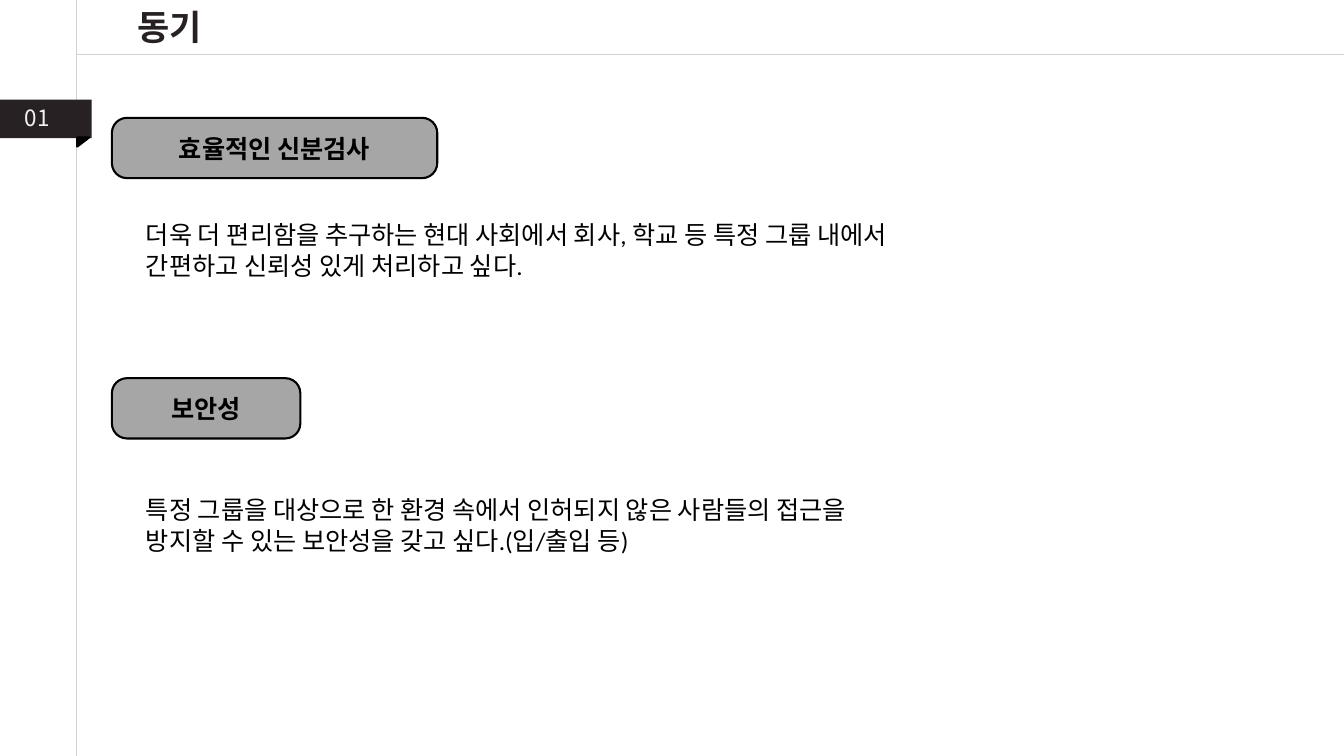
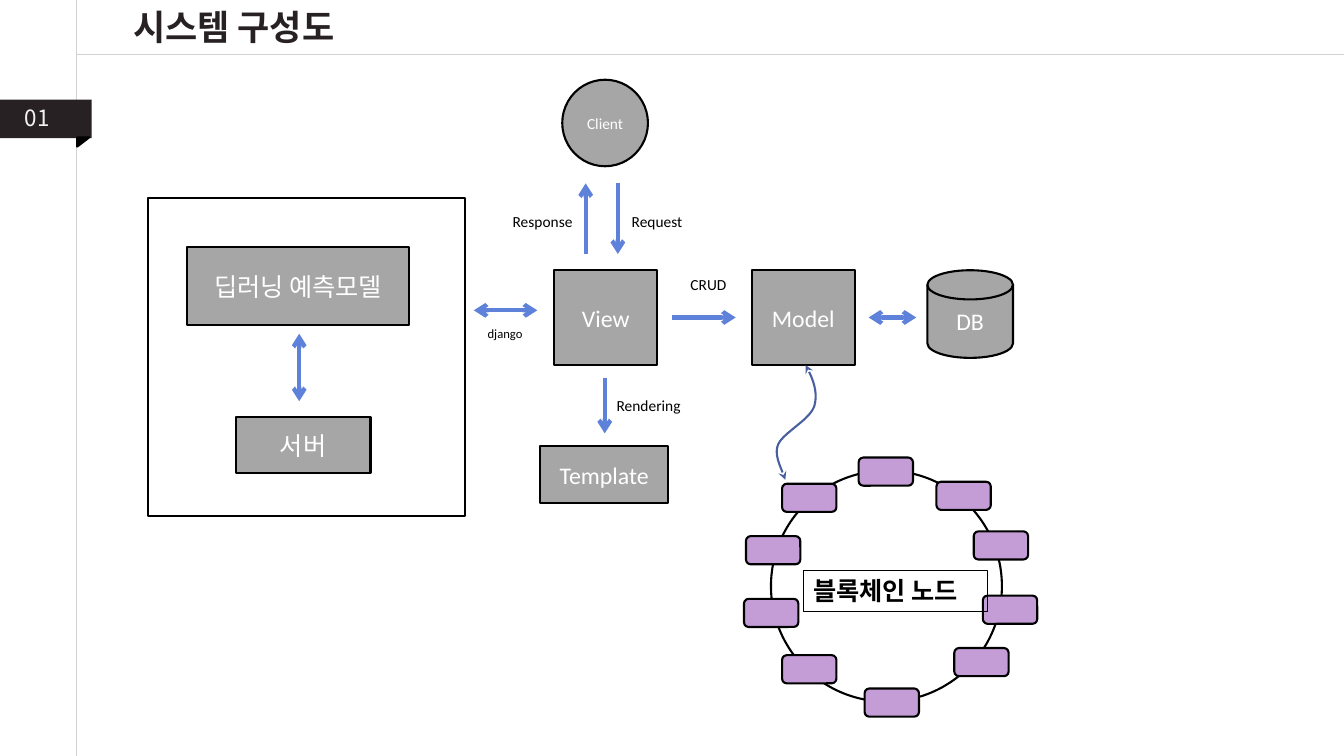
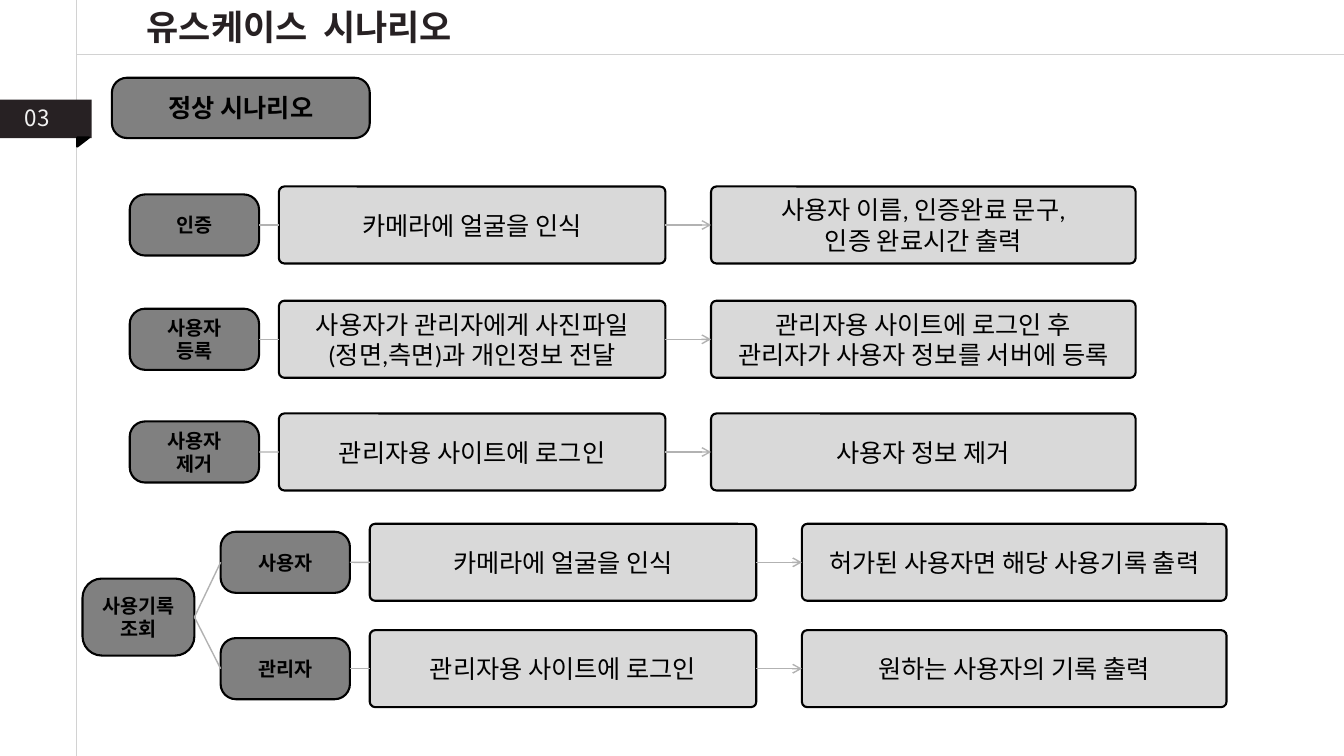
from lxml import etree
from pptx import Presentation
from pptx.dml.color import RGBColor
from pptx.enum.shapes import MSO_CONNECTOR, MSO_SHAPE
from pptx.enum.text import MSO_ANCHOR, MSO_AUTO_SIZE, PP_ALIGN
from pptx.oxml.ns import qn
from pptx.util import Cm, Pt

RECT, ROUNDED = MSO_SHAPE.RECTANGLE, MSO_SHAPE.ROUNDED_RECTANGLE
OVAL, CYLINDER = MSO_SHAPE.OVAL, MSO_SHAPE.CAN
TRIANGLE, DISK = MSO_SHAPE.RIGHT_TRIANGLE, MSO_SHAPE.FLOWCHART_MAGNETIC_DISK
STRAIGHT = MSO_CONNECTOR.STRAIGHT
LEFT, CENTER = PP_ALIGN.LEFT, PP_ALIGN.CENTER
TOP, NO_FIT = MSO_ANCHOR.TOP, MSO_AUTO_SIZE.NONE
TITLE_FONT, BODY_FONT = "Noto Sans CJK KR", "Calibri"
TOP_SIDE, LEFT_SIDE, BOTTOM_SIDE, RIGHT_SIDE = range(4)
COLORS = {name: RGBColor.from_string(value) for name, value in {
    "black": "000000", "white": "FFFFFF", "ink": "272123", "number": "F2F2F2",
    "rule": "D2D2D2", "gray": "A6A6A6", "dark": "808080", "pale": "D9D9D9",
    "link": "B2B2B2", "arrow": "5E81D9", "curve": "48609E", "node": "C49DD6",
}.items()}


def add_box(shapes, kind, place, fill=None, text="", size=18, color="black",
            bold=False, outline="black", font=BODY_FONT, corner=None):
    """Add a preset shape, or a left-aligned text box when kind is None; place is in cm."""
    place = [Cm(length) for length in place]
    if kind is None:
        box = shapes.add_textbox(*place)
    else:
        box = shapes.add_shape(kind, *place)
        box.shadow.inherit = False
        if fill:
            box.fill.solid()
            box.fill.fore_color.rgb = COLORS[fill]
        else:
            box.fill.background()
        if outline:
            box.line.color.rgb = COLORS[outline]
            box.line.width = Pt(1.5)
        else:
            box.line.fill.background()
    if corner is not None:
        box.adjustments[0] = corner
    if text:
        frame = box.text_frame
        frame.word_wrap = True
        frame.text = text
        for para in frame.paragraphs:
            para.alignment = LEFT if kind is None else CENTER
            para.font.name, para.font.size, para.font.bold = font, Pt(size), bold
            para.font.color.rgb = COLORS[color]
    return box


def add_line(shapes, start, end, color, width, ends=()):
    """Join two points in cm, or two (shape, side) pairs; ends names the arrowheads."""
    joined = not isinstance(start[0], (int, float))
    points = (0, 0, 0, 0) if joined else (*start, *end)
    line = shapes.add_connector(STRAIGHT, *[Cm(point) for point in points])
    if joined:
        line.begin_connect(*start)
        line.end_connect(*end)
    line.line.color.rgb = COLORS[color]
    line.line.width = Pt(width)
    for name in ends:
        etree.SubElement(line.line._get_or_add_ln(), qn(f"a:{name}"), type="arrow")
    etree.SubElement(line._element.spPr, qn("a:effectLst"))
    return line


deck = Presentation()
deck.slide_width, deck.slide_height = Cm(33.87), Cm(19.05)

# Shared frame: rules, number ribbon and title
pages = []
for number, title, title_width in [
    ("01", "동기", 4.8),
    ("01", "시스템 구성도", 8.03),
    ("03", "유스케이스  시나리오", 11.33),
]:
    page = deck.slides.add_slide(deck.slide_layouts[5])
    shapes = page.shapes
    add_line(shapes, (1.93, 0), (1.93, 19.05), "rule", 1)
    add_line(shapes, (33.87, 1.37), (1.93, 1.37), "rule", 1)
    add_box(shapes, RECT, (0, 2.51, 2.31, 0.97), "ink", outline=None)
    fold = add_box(shapes, TRIANGLE, (1.98, 3.43, 0.23, 0.3), "black")
    fold.rotation = 90
    add_box(shapes, None, (0.38, 2.51, 1.5, 0.94), text=number, size=16,
            color="number", font=TITLE_FONT)

    heading = shapes.title
    heading.left, heading.top = Cm(1.88), Cm(0)
    heading.width, heading.height = Cm(title_width), Cm(1.3)
    frame = heading.text_frame
    frame.text = title
    frame.auto_size, frame.vertical_anchor = NO_FIT, TOP
    para = frame.paragraphs[0]
    para.alignment = CENTER
    para.font.name, para.font.size, para.font.bold = TITLE_FONT, Pt(25), True
    para.font.color.rgb = COLORS["ink"]
    pages.append(page)
motive, system, scenario = [page.shapes for page in pages]

# Motive
for top, width, heading, body_top, body in [
    (2.97, 8.2, "효율적인 신분검사", 5.41,
     "더욱 더 편리함을 추구하는 현대 사회에서 회사, 학교 등 특정 그룹 내에서 "
     "간편하고 신뢰성 있게 처리하고 싶다."),
    (9.53, 4.75, "보안성", 12.34,
     "특정 그룹을 대상으로 한 환경 속에서 인허되지 않은 사람들의 접근을 "
     "방지할 수 있는 보안성을 갖고 싶다.(입/출입 등)"),
]:
    add_box(motive, ROUNDED, (2.82, top, width, 1.52), "gray", heading,
            bold=True, corner=0.25)
    add_box(motive, None, (3.43, body_top, 19.99, 1.75), text=body)

# System diagram
add_box(system, RECT, (3.73, 5, 8, 8))
for kind, place, text, size in [
    (RECT, (5.94, 10.52, 3.4, 1.4), "서버", 18),
    (RECT, (4.72, 6.22, 5.59, 1.98), "딥러닝 예측모델", 18),
    (RECT, (13.97, 6.81, 2.59, 2.39), "View", 17),
    (RECT, (18.95, 6.81, 2.59, 2.39), "Model", 17),
    (RECT, (13.61, 11.25, 3.23, 1.42), "Template", 17),
    (OVAL, (14.17, 2.01, 2.16, 2.18), "Client", 11),
    (DISK, (23.37, 6.81, 2.16, 2.21), "DB", 17),
]:
    add_box(system, kind, place, "gray", text, size, "white")

for left, top, width, text, size in [
    (15.67, 5.21, 2.29, "Request", 11),
    (12.67, 5.21, 2.49, "Response", 11),
    (17.15, 6.81, 1.8, "CRUD", 11),
    (15.29, 9.86, 2.77, "Rendering", 11),
    (12.04, 8.1, 1.6, "django", 9),
]:
    add_box(system, None, (left, top, width, 0.7), text=text, size=size)

ONE_WAY, BOTH_WAYS = ("tailEnd",), ("headEnd", "tailEnd")
for start, end, ends in [
    ((7.54, 8.41), (7.54, 10.11), BOTH_WAYS),
    ((21.89, 8), (23.09, 8), BOTH_WAYS),
    ((11.94, 7.82), (13.54, 7.82), BOTH_WAYS),
    ((15.57, 4.62), (15.57, 6.4), ONE_WAY),
    ((14.76, 6.4), (14.76, 4.62), ONE_WAY),
    ((15.24, 9.53), (15.24, 10.92), ONE_WAY),
    ((16.94, 8), (18.54, 8), ONE_WAY),
]:
    add_line(system, start, end, "arrow", 3, ends)

blockchain = system.add_group_shape().shapes
add_box(blockchain, OVAL, (19.43, 11.86, 5.82, 5.82), "white")
for left, top in [
    (21.64, 11.53), (19.71, 12.19), (18.8, 13.51), (18.75, 15.09), (19.71, 16.51),
    (24.05, 16.33), (23.6, 12.14), (24.54, 13.39), (24.77, 15.01), (21.79, 17.35),
]:
    add_box(blockchain, ROUNDED, (left, top, 1.37, 0.71), "node")
caption = add_box(blockchain, None, (20.24, 14.38, 4.65, 1.02), text="블록체인 노드",
                  bold=True)
caption.line.color.rgb = COLORS["black"]
caption.line.width = Pt(0.75)

# Curved link from Model to the blockchain, sampled from three Bezier arcs
curve_start = (20.3, 9.2)
STEPS = 10
curve_points = [curve_start]
for control_1, control_2, arc_end in [
    ((20.5, 9.55), (20.62, 9.9), (20.52, 10.24)),
    ((20.4, 10.59), (19.74, 10.9), (19.61, 11.2)),
    ((19.48, 11.48), (19.74, 11.89), (19.79, 12.09)),
]:
    arc = (curve_points[-1], control_1, control_2, arc_end)
    for step in range(1, STEPS + 1):
        t = step / STEPS
        weights = ((1 - t) ** 3, 3 * t * (1 - t) ** 2, 3 * t * t * (1 - t), t ** 3)
        curve_points.append(tuple(
            sum(weight * point[axis] for weight, point in zip(weights, arc))
            for axis in (0, 1)))
builder = system.build_freeform(Cm(curve_start[0]), Cm(curve_start[1]))
builder.add_line_segments([(Cm(x), Cm(y)) for x, y in curve_points[1:]], close=False)
curve = builder.convert_to_shape()
curve.shadow.inherit = False
curve.fill.background()
curve.line.color.rgb = COLORS["curve"]
curve.line.width = Pt(1.5)
for name in BOTH_WAYS:
    etree.SubElement(curve.line._get_or_add_ln(), qn(f"a:{name}"), type="stealth")

# Use-case scenarios
add_box(scenario, ROUNDED, (2.82, 1.96, 6.5, 1.52), "dark", "정상 시나리오",
        bold=True, corner=0.25)
history = add_box(scenario, ROUNDED, (2.08, 14.58, 2.82, 1.94), "dark", "사용기록 조회",
                  14, bold=True, corner=0.25)
INDENT = 2.29
for indent, top, actor, action, result in [
    (0, 4.7, "인증", "카메라에 얼굴을 인식", "사용자 이름, 인증완료 문구,\n인증 완료시간 출력"),
    (0, 7.58, "사용자\n등록", "사용자가 관리자에게 사진파일(정면,측면)과 개인정보 전달",
     "관리자용 사이트에 로그인 후\n관리자가 사용자 정보를 서버에 등록"),
    (0, 10.42, "사용자\n제거", "관리자용 사이트에 로그인", "사용자 정보 제거"),
    (INDENT, 13.2, "사용자", "카메라에 얼굴을 인식", "허가된 사용자면 해당 사용기록 출력"),
    (INDENT, 15.88, "관리자", "관리자용 사이트에 로그인", "원하는 사용자의 기록 출력"),
]:
    actor_box = add_box(scenario, ROUNDED, (3.27 + indent, top + 0.2, 3.26, 1.54),
                        "dark", actor, 14, bold=True, corner=0.25)
    action_box, result_box = [
        add_box(scenario, ROUNDED, (left + indent, top, width, 1.94), "pale", text,
                corner=0.07)
        for left, width, text in [(7.03, 9.74, action), (17.92, 10.7, result)]]
    add_line(scenario, (actor_box, RIGHT_SIDE), (action_box, LEFT_SIDE), "link", 1)
    add_line(scenario, (action_box, RIGHT_SIDE), (result_box, LEFT_SIDE), "link", 1, ONE_WAY)
    if indent:
        add_line(scenario, (history, RIGHT_SIDE), (actor_box, LEFT_SIDE), "link", 1)

deck.save("out.pptx")
